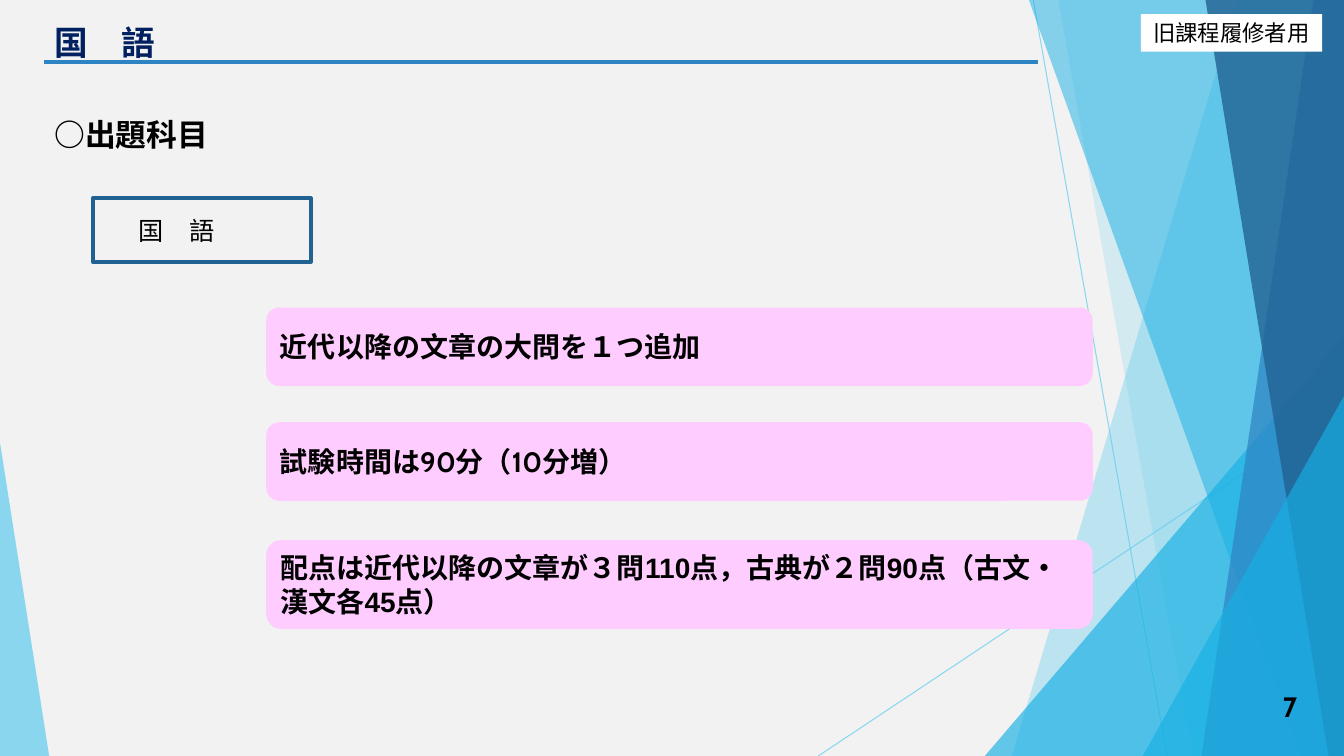
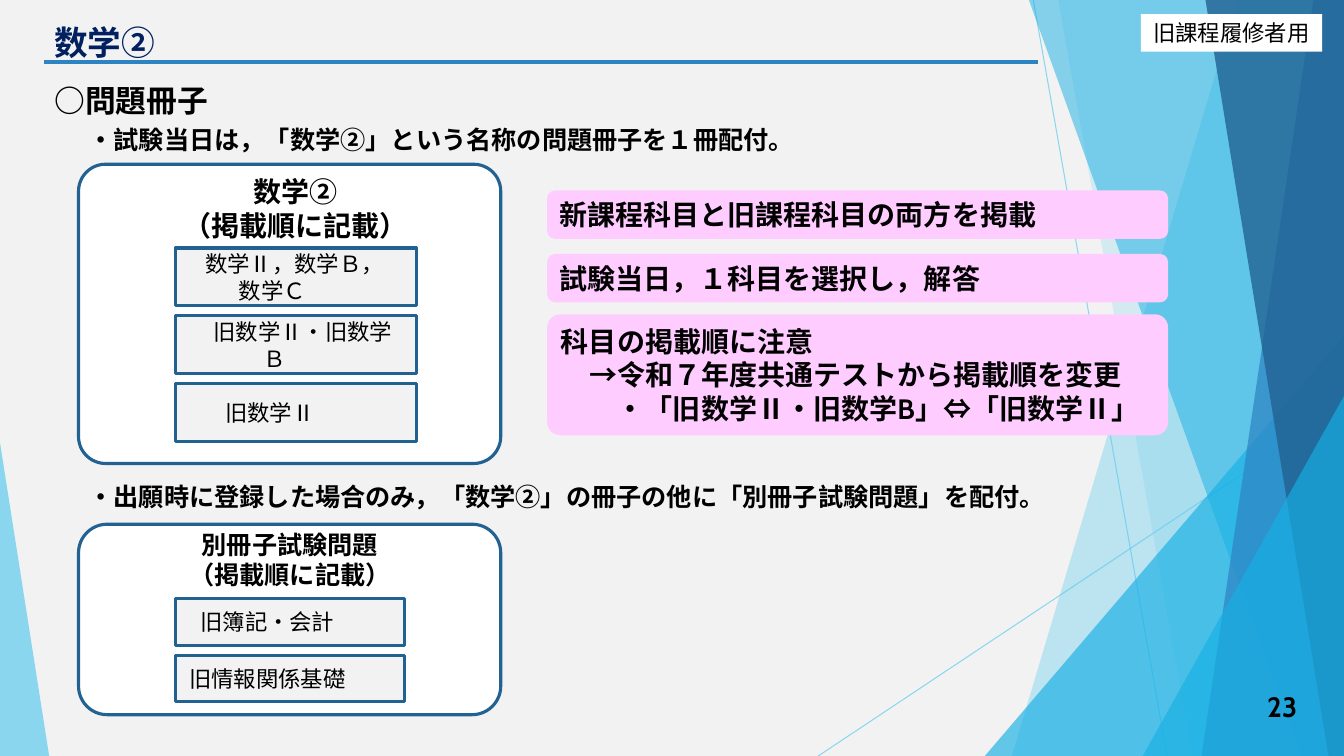
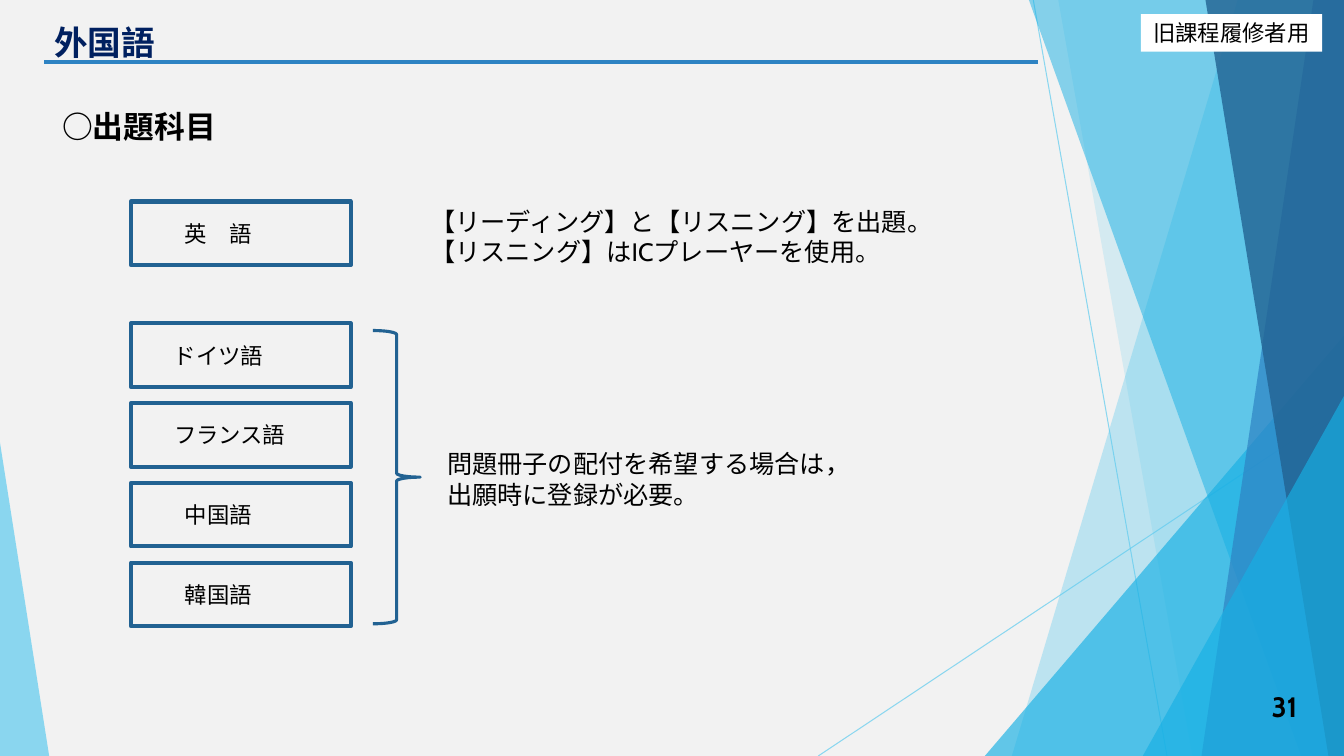
from dataclasses import dataclass

from lxml import etree
from pptx import Presentation
from pptx.dml.color import RGBColor
from pptx.enum.shapes import MSO_CONNECTOR, MSO_SHAPE
from pptx.enum.text import MSO_ANCHOR, PP_ALIGN
from pptx.oxml.ns import qn
from pptx.util import Cm, Pt

RECT = MSO_SHAPE.RECTANGLE
ROUND = MSO_SHAPE.ROUNDED_RECTANGLE
TRIANGLE = MSO_SHAPE.ISOSCELES_TRIANGLE
BRACE = MSO_SHAPE.RIGHT_BRACE
STRAIGHT = MSO_CONNECTOR.STRAIGHT
TOP, MIDDLE = MSO_ANCHOR.TOP, MSO_ANCHOR.MIDDLE
LEFT, CENTER, RIGHT = PP_ALIGN.LEFT, PP_ALIGN.CENTER, PP_ALIGN.RIGHT

WIDTH, HEIGHT = 33.87, 19.05
FONT, ALT_FONT = "Cabin", "Arial"
PAPER, WHITE, BLACK, NAVY = "F2F2F2", "FFFFFF", "000000", "002060"
SKY, CYAN, BLUE, DEEP = "5FCBEF", "17B0E4", "2E83C3", "226292"
PINK = "FFCCFF"
INSET = 0.25


@dataclass
class Para:
    """Runs are strings, or (text, font) pairs; indents are in cm."""
    runs: tuple
    left: float = 0
    first: float = 0


@dataclass
class Item:
    """A subject box; right is the extra inset that moves its text left."""
    paras: tuple
    right: float = 0
    align: int = CENTER


def rgb(color):
    return RGBColor.from_string(color)


def set_alpha(sp, percent):
    for clr in sp.element.iter(qn("a:srgbClr")):
        etree.SubElement(clr, qn("a:alpha"), val=str(percent * 1000))


def write(sp, paras, size, bold=False, color=BLACK, align=LEFT,
          anchor=MIDDLE, right=0):
    tf = sp.text_frame
    tf.word_wrap = True
    tf.vertical_anchor = anchor
    tf.margin_right = Cm(INSET + right)
    for i, para in enumerate(paras):
        if isinstance(para, str):
            para = Para((para,))
        p = tf.paragraphs[0] if i == 0 else tf.add_paragraph()
        p.alignment = align
        if para.left:
            pPr = p._p.get_or_add_pPr()
            pPr.set("marL", str(Cm(para.left)))
            pPr.set("indent", str(Cm(para.first)))
        for run in para.runs:
            text, name = (run, FONT) if isinstance(run, str) else run
            r = p.add_run()
            r.text = text
            r.font.size = Pt(size)
            r.font.bold = bold
            r.font.color.rgb = rgb(color)
            r.font.name = name
            etree.SubElement(r._r.get_or_add_rPr(), qn("a:ea"), typeface=name)


def add_text(s, box, paras, size, **style):
    sp = s.shapes.add_textbox(*map(Cm, box))
    write(sp, paras, size, **style)


def paint(sp, fill=None, line=None, weight=2.25):
    sp.shadow.inherit = False
    if fill:
        sp.fill.solid()
        sp.fill.fore_color.rgb = rgb(fill)
    else:
        sp.fill.background()
    if line:
        sp.line.color.rgb = rgb(line)
        sp.line.width = Pt(weight)
    else:
        sp.line.fill.background()


def add_box(s, kind, box, fill=None, line=None, weight=2.25, adj=None):
    sp = s.shapes.add_shape(kind, *map(Cm, box))
    paint(sp, fill, line, weight)
    if adj is not None:
        sp.adjustments[0] = adj
    return sp


def add_line(s, ends, color, weight):
    sp = s.shapes.add_connector(STRAIGHT, *map(Cm, ends))
    sp.line.color.rgb = rgb(color)
    sp.line.width = Pt(weight)
    etree.SubElement(sp.element.spPr, qn("a:effectLst"))
    return sp


def add_band(s, top_x, bottom_x, color, alpha):
    """Slanted band that fills the slide from its left edge to the right."""
    fb = s.shapes.build_freeform(Cm(top_x), 0)
    corners = ((WIDTH, 0), (WIDTH, HEIGHT), (bottom_x, HEIGHT))
    fb.add_line_segments([(Cm(x), Cm(y)) for x, y in corners])
    sp = fb.convert_to_shape()
    paint(sp, color)
    set_alpha(sp, alpha)


def add_corner(s, x, y, w, apex, color, alpha):
    """Right-angled triangle standing on the bottom of the slide."""
    sp = add_box(s, TRIANGLE, (x, y, w, HEIGHT - y), color, adj=apex)
    set_alpha(sp, alpha)


def add_facets(s):
    for ends in ((26.04, 0, 29.41, HEIGHT), (WIDTH, 10.24, 20.62, HEIGHT)):
        set_alpha(add_line(s, ends, SKY, 0.75), 70)
    add_band(s, 31.19, 25.5, SKY, 36)
    add_band(s, 26.67, 30.05, SKY, 20)
    add_corner(s, 24.82, 8.46, 9.05, 1, CYAN, 66)
    add_band(s, 25.93, 32.79, CYAN, 50)
    add_band(s, 33.1, 30.28, BLUE, 70)
    add_band(s, 30.38, 33.48, DEEP, 80)
    add_corner(s, 28.8, 9.98, 5.07, 1, CYAN, 66)
    add_corner(s, 0, 11.15, 1.24, 0, SKY, 70)


def new_slide(prs, title, number):
    s = prs.slides.add_slide(prs.slide_layouts[6])
    add_facets(s)
    add_line(s, (1.12, 1.57, 26.16, 1.57), BLUE, 3)
    tag = add_box(s, RECT, (28.75, 0.36, 4.57, 0.94), WHITE)
    write(tag, ["旧課程履修者用"], 16, align=CENTER)
    add_text(s, (31.04, 17.3, 1.9, 1.02), [str(number)], 20, bold=True,
             align=RIGHT)
    add_text(s, (1.12, 0.43, 23.88, 1.57), [title], 24, bold=True,
             color=NAVY, anchor=TOP)
    return s


def add_heading(s, x, y, text):
    add_text(s, (x, y, 5.05, 1.19), [text], 22, bold=True, anchor=TOP)


def add_point(s, box, paras, adj=None):
    sp = add_box(s, ROUND, box, PINK, adj=adj)
    write(sp, paras, 20, bold=True)


def add_subject(s, box, item, size=16, weight=3):
    sp = add_box(s, RECT, box, PAPER, DEEP, weight)
    write(sp, item.paras, size, align=item.align, right=item.right)


def add_booklet(s, box, adj, caption, size, items, first, item_size, step):
    """Card with a caption and a column of subjects; first is from its top."""
    x, y, w, h = box
    item_w, item_h = item_size
    add_box(s, ROUND, box, WHITE, DEEP, adj=adj)
    item_x = x + 2.44
    add_text(s, (item_x - 0.3, y + first - 1.72, item_w + 0.6, 1.45),
             caption, size, bold=True, align=CENTER)
    for i, item in enumerate(items):
        add_subject(s, (item_x, y + first + i * step, item_w, item_h), item,
                    weight=2.25)


def japanese_slide(prs):
    s = new_slide(prs, "国　語", 7)
    add_heading(s, 1.12, 2.79, "○出題科目")
    add_subject(s, (2.34, 5, 5.49, 1.6), Item(("国　語",), 1.27), size=18)
    scores = Para(("配点は近代以降の文章が３問",
                   ("110点，古典が２問90点（古文・漢文各45点）", ALT_FONT)))
    for y, h, para in ((7.75, 1.98, "近代以降の文章の大問を１つ追加"),
                       (10.64, 1.98, "試験時間は90分（10分増）"),
                       (13.61, 2.24, scores)):
        add_point(s, (6.71, y, 20.83, h), [para])


def math_slide(prs):
    s = new_slide(prs, "数学②", 23)
    add_heading(s, 1.12, 1.93, "○問題冊子")
    for y, note in (
            (3.02, "・試験当日は，「数学②」という名称の問題冊子を１冊配付。"),
            (12.01, "・出願時に登録した場合のみ，「数学➁」の冊子の他に"
                    "「別冊子試験問題」を配付。")):
        add_text(s, (1.98, y, 26.67, 1.02), [note], 18, bold=True, anchor=TOP)

    current = Item((Para(("数学", ("Ⅱ，", ALT_FONT), "数学Ｂ，"), 0.5),
                    Para(("数学Ｃ",), 1.35)), align=LEFT)
    former = Item((Para(("旧数学", ("Ⅱ・旧", ALT_FONT), "数学Ｂ"),
                        1.98, -1.27),), 0.25, LEFT)
    former_2 = Item((Para(("旧数学", ("Ⅱ", ALT_FONT))),), 1.3)
    add_booklet(s, (1.98, 4.14, 10.64, 7.54), 0.09,
                ["数学➁", "（掲載順に記載）"], 20,
                [current, former, former_2], 2.11, (6.07, 1.45), 1.71)
    add_booklet(s, (1.98, 13.21, 10.64, 4.8), 0.15,
                ["別冊子試験問題", "（掲載順に記載）"], 18,
                [Item(("旧簿記・会計",), 1.13),
                 Item(("旧情報関係基礎",), 1.13)],
                1.88, (5.77, 1.17), 1.42)

    order = ["科目の掲載順に注意",
             Para(("→令和７年度共通テストから掲載順を変更",), 0.71),
             Para(("・「旧数学Ⅱ・旧数学B」⇔「旧数学Ⅱ」",), 1.41)]
    for y, h, adj, paras in (
            (4.8, 1.22, None, ["新課程科目と旧課程科目の両方を掲載"]),
            (6.4, 1.22, None, ["試験当日，１科目を選択し，解答"]),
            (7.92, 3.05, 0.11, order)):
        add_point(s, (13.79, y, 15.65, h), paras, adj)


def language_slide(prs):
    s = new_slide(prs, "外国語", 31)
    add_heading(s, 1.32, 2.59, "○出題科目")
    add_subject(s, (3.3, 5.08, 5.54, 1.6), Item(("英　語",), 1.13))
    others = (("ドイツ語", 1.13), ("フランス語", 0.56),
              ("中国語", 1.13), ("韓国語", 1.13))
    for i, (name, right) in enumerate(others):
        add_subject(s, (3.3, 8.15 + i * 2.01, 5.54, 1.6),
                    Item((name,), right))
    add_box(s, BRACE, (9.4, 8.33, 1.19, 7.39), line=DEEP)
    for x, y, lines in (
            (10.59, 5.08, ["【リーディング】と【リスニング】を出題。",
                           "【リスニング】はICプレーヤーを使用。"]),
            (11.02, 11.18, ["問題冊子の配付を希望する場合は，",
                            "出願時に登録が必要。"])):
        add_text(s, (x, y, 14.05, 1.8), lines, 18, anchor=TOP)


def main():
    prs = Presentation()
    prs.slide_width, prs.slide_height = Cm(WIDTH), Cm(HEIGHT)
    fill = prs.slide_master.background.fill
    fill.solid()
    fill.fore_color.rgb = rgb(PAPER)
    japanese_slide(prs)
    math_slide(prs)
    language_slide(prs)
    prs.save("out.pptx")


if __name__ == "__main__":
    main()
